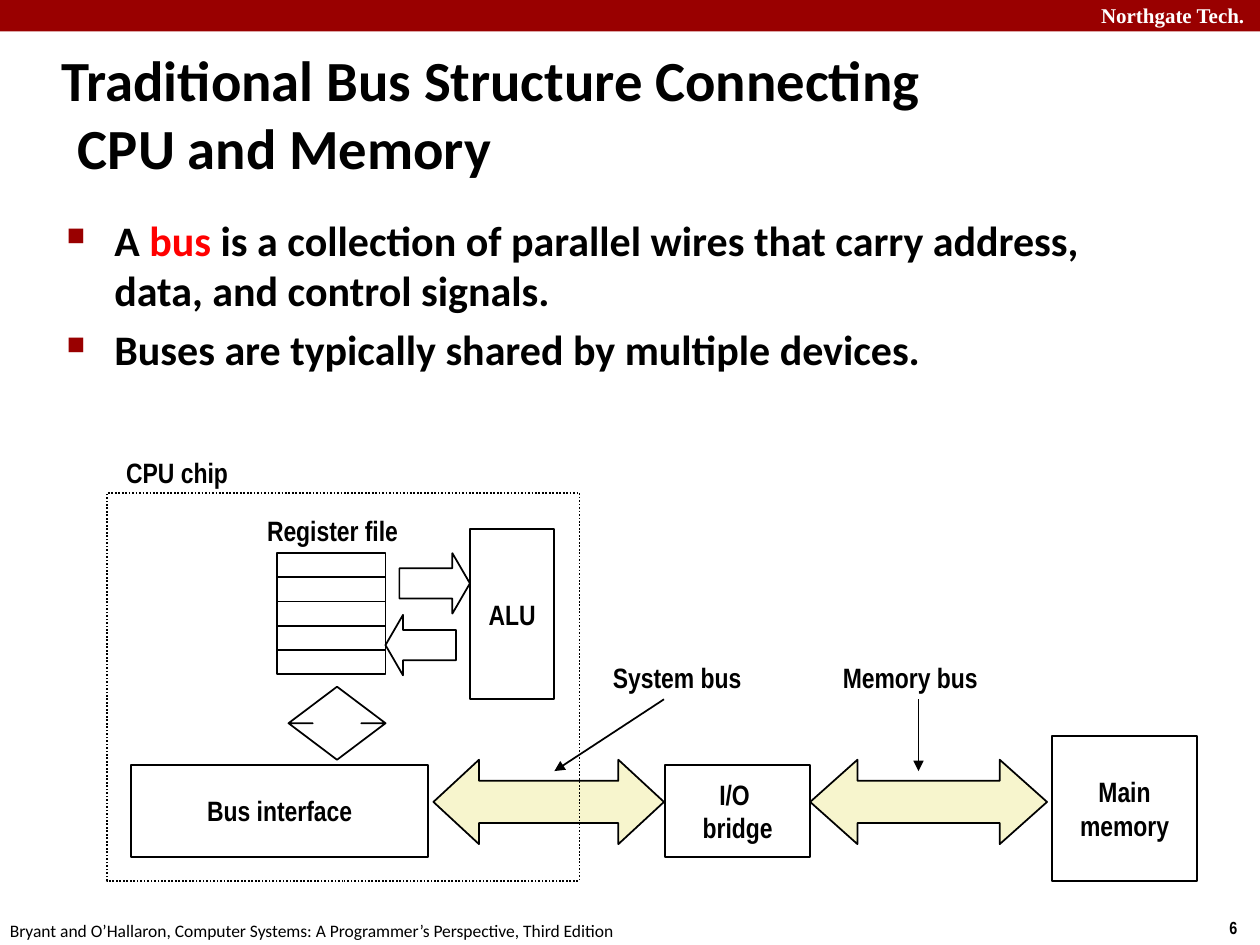
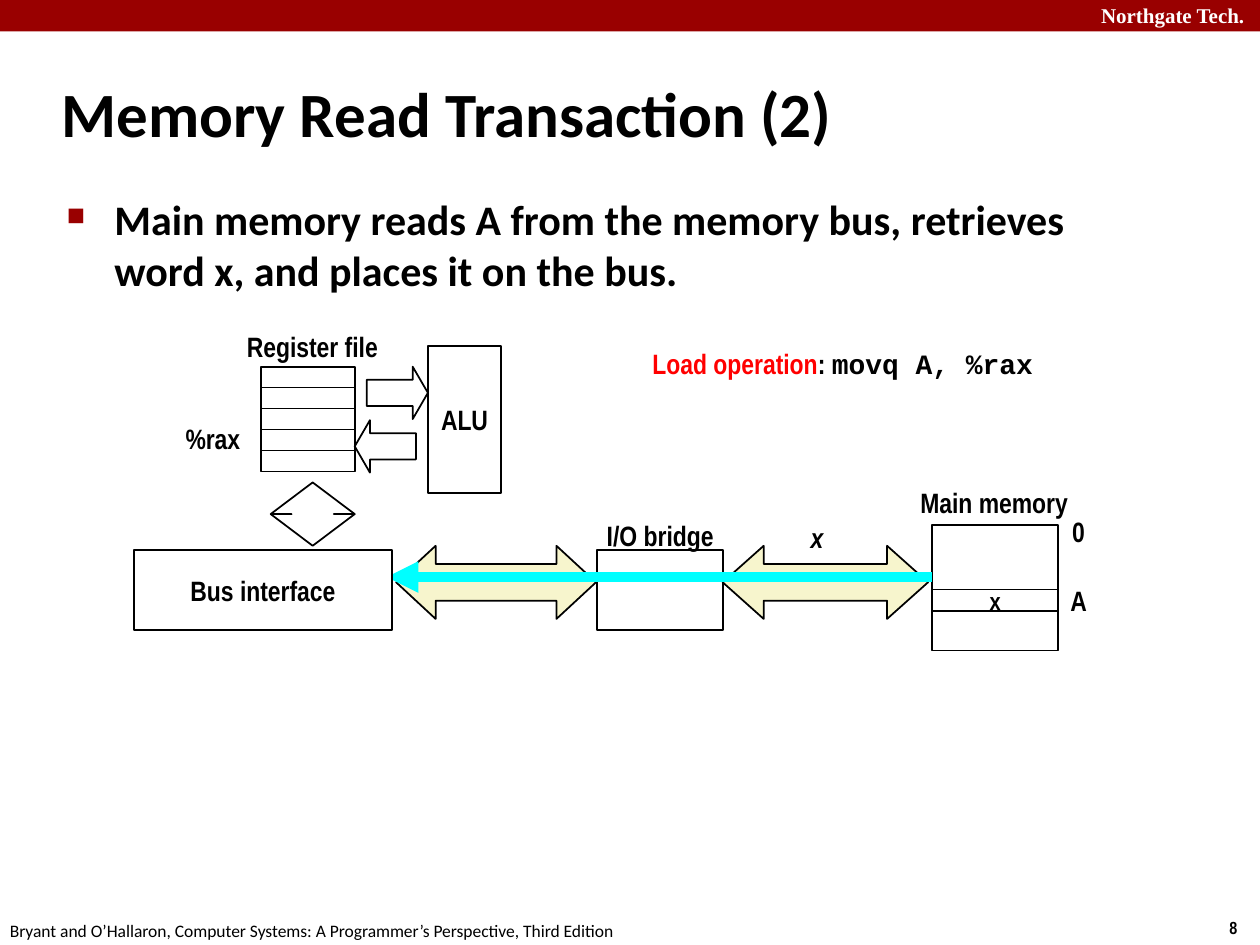
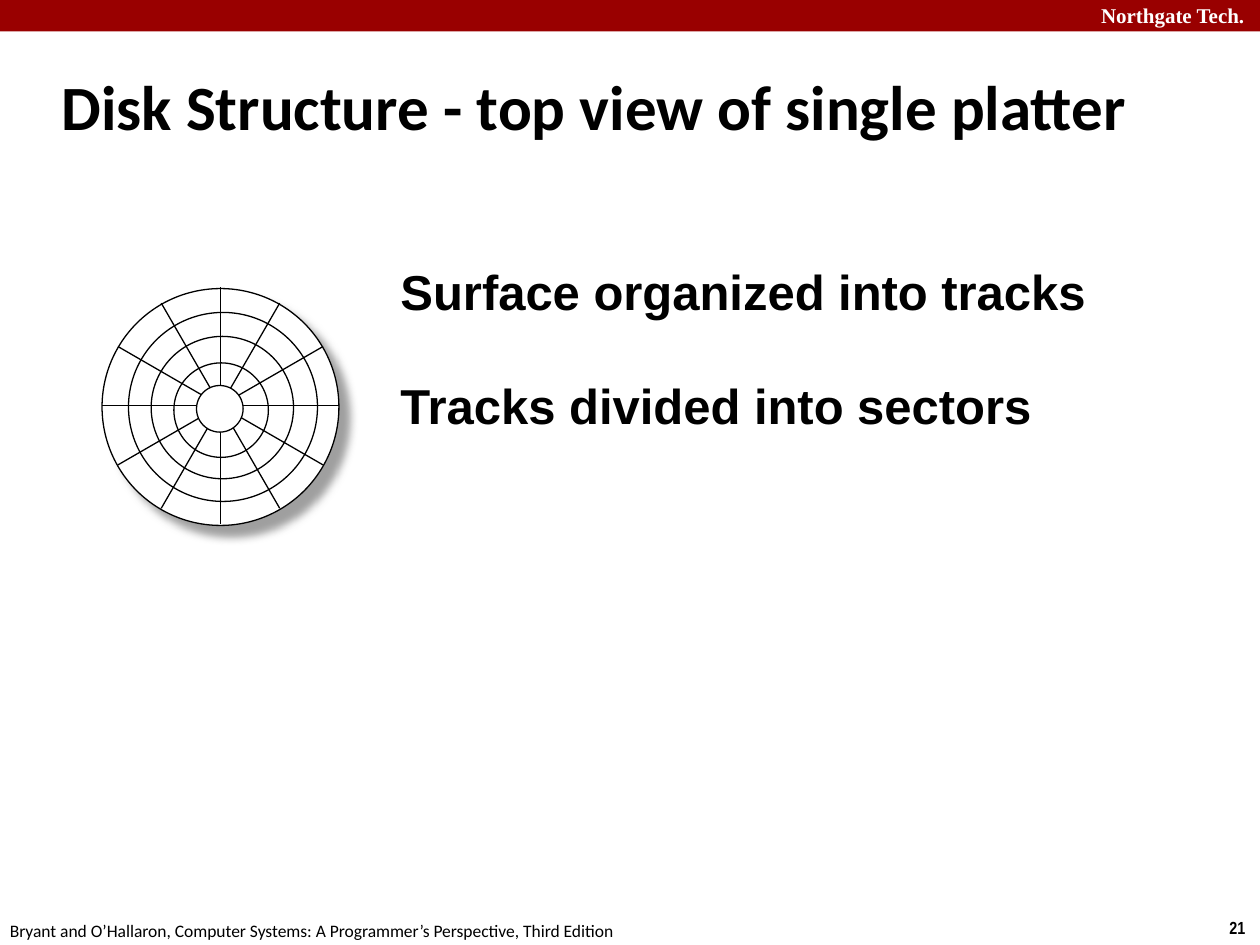
import math
from dataclasses import dataclass, replace
from lxml import etree
from pptx import Presentation
from pptx import util as u
from pptx.dml.color import RGBColor
from pptx.enum import dml, shapes, text
from pptx.oxml import parse_xml
from pptx.oxml.ns import nsdecls, qn

PX = 9144  # EMU per px, 100 px to the inch


@dataclass(frozen=True)
class Style:
    font: str
    size: float
    colour: str = "000000"
    bold: bool = True
    italic: bool = False


class Theme:
    black, white = "000000", "FFFFFF"
    crimson, red = "990000", "FF0000"
    bus, data = "F7F5CD", "00FFFF"
    title = Style("Calibri", 36)
    long_title = Style("Calibri", 32.4)
    body = Style("Calibri", 24)
    label = Style("Arial Narrow", 16)
    value = Style("Arial Narrow", 14)
    symbol = Style("Arial Narrow", 16, italic=True)
    statement = Style("Arial", 28)
    school = Style("Times New Roman", 12, white)
    number = Style("Arial Narrow", 10)
    credit = Style("Calibri", 10, bold=False)


RED = {"colour": Theme.red}
CODE = {"font": "Courier New"}
SHAPE = shapes.MSO_SHAPE
LEFT, CENTER = text.PP_ALIGN.LEFT, text.PP_ALIGN.CENTER
TOP, MIDDLE, BOTTOM = text.MSO_ANCHOR.TOP, text.MSO_ANCHOR.MIDDLE, text.MSO_ANCHOR.BOTTOM

# ---- Content: boxes are (left, top, width, height) in px ----
SCHOOL = "Northgate Tech."
CREDIT = "Bryant and O’Hallaron, Computer Systems: A Programmer’s Perspective, Third Edition"

BUS_TITLE = "Traditional Bus Structure Connecting \vCPU and Memory"
BUS_POINTS = [
    ["A ", ("bus", RED), " is a collection of parallel wires that carry address, data, and control signals."],
    "Buses are typically shared by multiple devices.",
]
BUS_LABELS = [
    ("Register file", (201, 402, 126, 37)),
    ("CPU chip", (81, 356, 119, 37)),
    ("System bus", (476, 519, 123, 37)),
    ("Memory bus", (658, 519, 129, 37)),
]
BUS_POINTERS = [((527, 555), (440, 612)), ((729, 555), (729, 612))]
CPU_CHIP = (85, 391, 375, 308)

READ_TITLE = "Memory Read Transaction (2)"
READ_POINTS = ["Main memory reads A from the memory bus, retrieves word x, and places it on the bus."]
READ_LABELS = [
    ("Register file", (185, 256, 126, 37)),
    ("0", (840, 403, 32, 37)),
    ("A", (838, 458, 36, 37)),
    ("Main memory", (717, 380, 144, 37)),
    ("%rax", (137, 329, 64, 37)),
    ("I/O bridge", (471, 406, 106, 37)),
]
READ_SYMBOL = ("x", (631, 408, 35, 37))
READ_CELL = ("x", (740, 468, 100, 17))
READ_DATA = ((307, 458), (740, 458))
READ_SCALE = 13 / 15
LOAD = [("Load operation", RED), ": ", ("movq A, %rax", CODE)]

DISK_TITLE = "Disk Structure - top view of single platter"
DISK_FACTS = [
    ("Surface organized into tracks", (308, 167, 592, 92)),
    ("Tracks divided into sectors", (308, 258, 625, 92)),
]
PLATTER = (81, 229, 188)  # left, top, diameter
HUB = (156, 306, 37)
TRACKS = [(102, 248, 150), (120, 267, 113), (138, 288, 75)]
SPOKES = 6

# Machine parts, measured from the register file's corner at full scale
REGISTERS, REGISTER_SIZE = 5, (86, 96)
ARROWS = [
    (SHAPE.RIGHT_ARROW, (97, 0, 56, 48), (0.5, 0.29), None),
    (SHAPE.LEFT_ARROW, (86, 49, 56, 48), (0.5, 0.29), None),
    # The vertical double arrow takes its head length first, then its shaft width
    (SHAPE.UP_DOWN_ARROW, (9, 106, 77, 58), (0.2, 0.5), None),
    (SHAPE.LEFT_RIGHT_ARROW, (124, 164, 183, 67), (0.5, 0.54), Theme.bus),
    (SHAPE.LEFT_RIGHT_ARROW, (423, 164, 188, 67), (0.5, 0.56), Theme.bus),
]
ALU, BRIDGE = (153, -19, 67, 135), (308, 168, 115, 73)
MEMORY, BUS_INTERFACE = (615, 145, 115, 115), (-116, 168, 236, 73)


# ---- Helpers ----
def emu(lengths):
    return [u.Emu(round(length * PX)) for length in lengths]


def apply_font(font, style):
    font.name, font.size = style.font, u.Pt(style.size)
    font.bold, font.italic = style.bold, style.italic
    font.color.rgb = RGBColor.from_string(style.colour)


def write(frame, paragraphs, style, align=LEFT, anchor=MIDDLE, wrap=False):
    """Each paragraph is a string, or a list of strings and (string, changes)."""
    frame.word_wrap, frame.vertical_anchor = wrap, anchor
    for i, content in enumerate(paragraphs):
        line = frame.paragraphs[0] if i == 0 else frame.add_paragraph()
        line.alignment = align
        if isinstance(content, str):
            line.text = content
            apply_font(line.font, style)
            continue
        for part in content:
            words, changes = (part, {}) if isinstance(part, str) else part
            run = line.add_run()
            run.text = words
            apply_font(run.font, replace(style, **changes))


def add_text(slide, box, paragraphs, style, **layout):
    frame = slide.shapes.add_textbox(*emu(box)).text_frame
    write(frame, paragraphs, style, **layout)
    return frame


def add_labels(slide, labels, style=Theme.label):
    for words, box in labels:
        add_text(slide, box, [words], style, align=CENTER)


def indent(paragraph, px):
    properties = paragraph._p.get_or_add_pPr()
    properties.set("marL", str(px * PX))
    properties.set("indent", str(-px * PX))
    return properties


def add_shape(slide, kind, box, fill=None, line=Theme.black, weight=1, words=(), style=Theme.label):
    shape = slide.shapes.add_shape(kind, *emu(box))
    shape.shadow.inherit = False
    if fill:
        shape.fill.solid()
        shape.fill.fore_color.rgb = RGBColor.from_string(fill)
    else:
        shape.fill.background()
    if line:
        shape.line.color.rgb = RGBColor.from_string(line)
        shape.line.width = u.Pt(weight)
    else:
        shape.line.fill.background()
    if words:
        write(shape.text_frame, words, style, align=CENTER)
    return shape


def add_line(slide, start, end, colour=Theme.black, weight=1, arrow=None):
    """arrow is headEnd (at start), tailEnd (at end) or None."""
    line = slide.shapes.add_connector(shapes.MSO_CONNECTOR.STRAIGHT, *emu(start + end))
    line.line.color.rgb = RGBColor.from_string(colour)
    line.line.width = u.Pt(weight)
    if arrow:
        etree.SubElement(line.line._get_or_add_ln(), qn(f"a:{arrow}"), type="triangle")
    etree.SubElement(line._element.spPr, qn("a:effectLst"))


def add_circle(slide, circle, fill=None):
    left, top, diameter = circle
    return add_shape(slide, SHAPE.OVAL, (left, top, diameter, diameter), fill, weight=0.75)


def add_slide(deck, number, title, title_box, title_style=Theme.title):
    slide = deck.slides.add_slide(deck.slide_layouts[6])
    add_shape(slide, SHAPE.RECTANGLE, (0, 0, 1000, 25), Theme.crimson, None)
    add_text(slide, (864, -3, 143, 30), [SCHOOL], Theme.school, anchor=TOP, wrap=True)
    add_text(slide, (966, 723, 34, 27), [str(number)], Theme.number, anchor=TOP)
    add_text(slide, (-2, 725, 508, 27), [CREDIT], Theme.credit, anchor=TOP)
    heading = add_text(slide, title_box, [title], title_style, wrap=True)
    indent(heading.paragraphs[0], 13)
    return slide


def add_points(slide, top, points):
    frame = add_text(slide, (43, top, 864, 544), points, Theme.body, anchor=TOP, wrap=True)
    for point in frame.paragraphs:
        point.space_before = u.Pt(4.8)
        properties = indent(point, 38)
        bullet = [
            f'<a:buClr {nsdecls("a")}><a:srgbClr val="{Theme.crimson}"/></a:buClr>',
            f'<a:buSzPct {nsdecls("a")} val="60000"/>',
            f'<a:buChar {nsdecls("a")} char="■"/>',
        ]
        spacing = properties.find(qn("a:spcBef"))
        for part in reversed(bullet):
            spacing.addnext(parse_xml(part))


def add_machine(slide, origin, scale, bridge=(), memory=(), data=None):
    """CPU, buses, bridge and memory; data is the path of a word on the buses."""
    def place(box):
        left, top, width, height = (length * scale for length in box)
        return origin[0] + left, origin[1] + top, width, height

    for kind, box, adjustments, fill in ARROWS:
        arrow = add_shape(slide, kind, place(box), fill)
        for i, value in enumerate(adjustments):
            arrow.adjustments[i] = value
    width, height = REGISTER_SIZE
    row = height / REGISTERS
    for i in range(REGISTERS):
        add_shape(slide, SHAPE.RECTANGLE, place((0, i * row, width, row)))
    for box, words in ((ALU, ["ALU"]), (BRIDGE, bridge), (MEMORY, memory)):
        add_shape(slide, SHAPE.RECTANGLE, place(box), words=words)
    if data:
        add_line(slide, *data, Theme.data, 6, "headEnd")
    add_shape(slide, SHAPE.RECTANGLE, place(BUS_INTERFACE), Theme.white, words=["Bus interface"])


# ---- Slides ----
def bus_structure(deck):
    slide = add_slide(deck, 6, BUS_TITLE, (39, 48, 961, 83), Theme.long_title)
    add_points(slide, 165, BUS_POINTS)
    add_machine(slide, (220, 439), 1, ["I/O ", "bridge"], ["Main", "memory"])
    chip = add_shape(slide, SHAPE.RECTANGLE, CPU_CHIP)
    chip.line.dash_style = dml.MSO_LINE.ROUND_DOT
    add_labels(slide, BUS_LABELS)
    for start, end in BUS_POINTERS:
        add_line(slide, start, end, arrow="tailEnd")


def memory_read(deck):
    slide = add_slide(deck, 8, READ_TITLE, (39, 48, 830, 83))
    add_points(slide, 149, READ_POINTS)
    add_machine(slide, (207, 291), READ_SCALE, data=READ_DATA)
    word, cell = READ_CELL
    add_shape(slide, SHAPE.RECTANGLE, cell, words=[word], style=Theme.value)
    add_labels(slide, READ_LABELS)
    add_labels(slide, [READ_SYMBOL], Theme.symbol)
    add_text(slide, (508, 270, 326, 64), [LOAD], Theme.label, anchor=TOP)


def disk_structure(deck):
    slide = add_slide(deck, 21, DISK_TITLE, (39, 42, 928, 83))
    platter = add_circle(slide, PLATTER, Theme.white)
    effects = platter._element.spPr.find(qn("a:effectLst"))
    effects.append(parse_xml(
        f'<a:outerShdw {nsdecls("a")} blurRad="63500" dist="107950" dir="2700000">'
        '<a:srgbClr val="808080"><a:alpha val="75000"/></a:srgbClr></a:outerShdw>'))

    # Sector boundaries: full diameters at equal angles
    left, top, diameter = PLATTER
    radius = diameter / 2
    x, y = left + radius, top + radius - 1
    for i in range(SPOKES):
        angle = math.pi * i / SPOKES
        dx, dy = radius * math.cos(angle), radius * math.sin(angle)
        add_line(slide, (x - dx, y - dy), (x + dx, y + dy), weight=0.75)
    add_circle(slide, HUB, Theme.white)
    for track in TRACKS:
        add_circle(slide, track)
    for fact, box in DISK_FACTS:
        add_text(slide, box, [fact], Theme.statement, anchor=BOTTOM, wrap=True)


def main():
    deck = Presentation()
    deck.slide_width, deck.slide_height = emu((1000, 750))
    bus_structure(deck)
    memory_read(deck)
    disk_structure(deck)
    deck.save("out.pptx")


if __name__ == "__main__":
    main()
